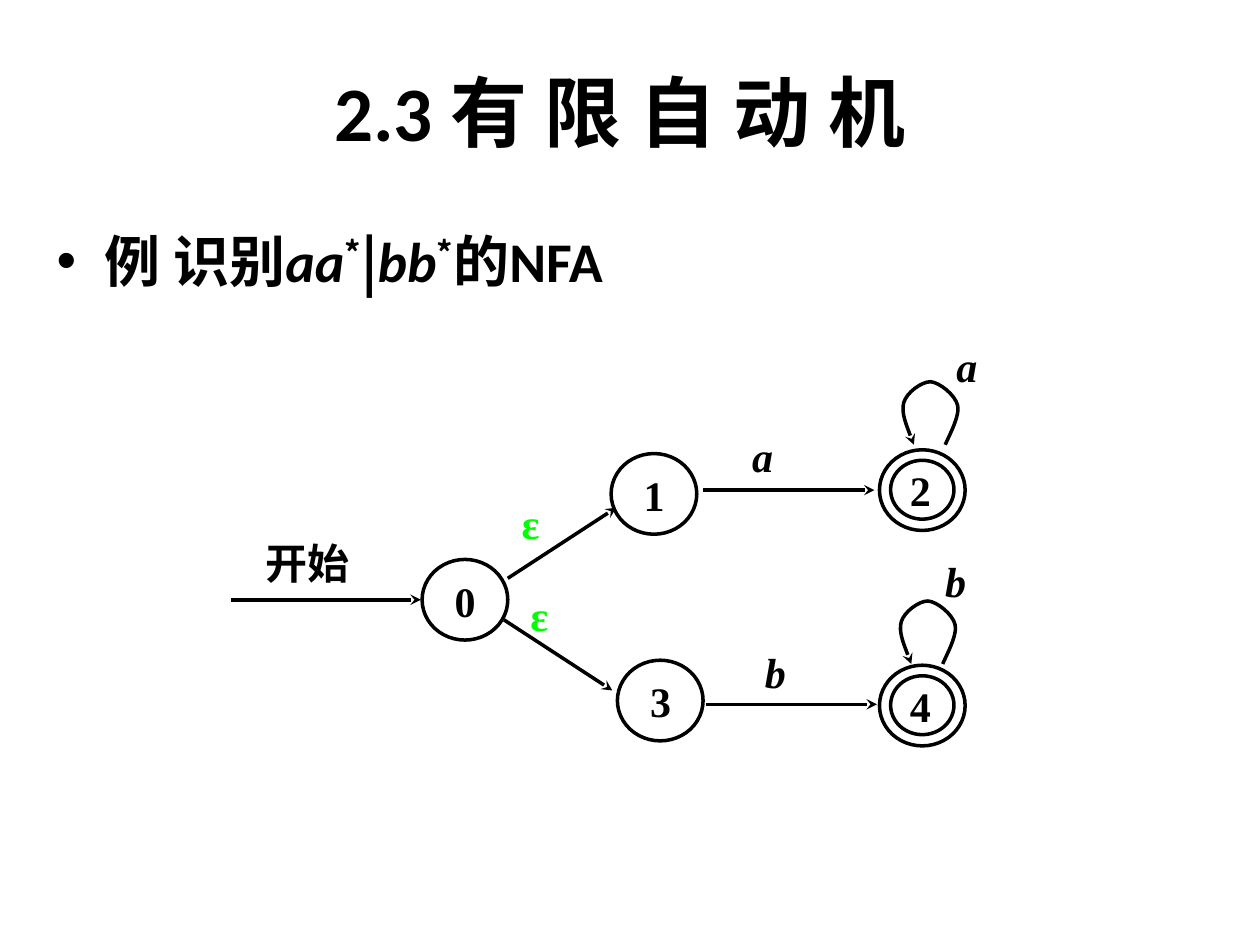
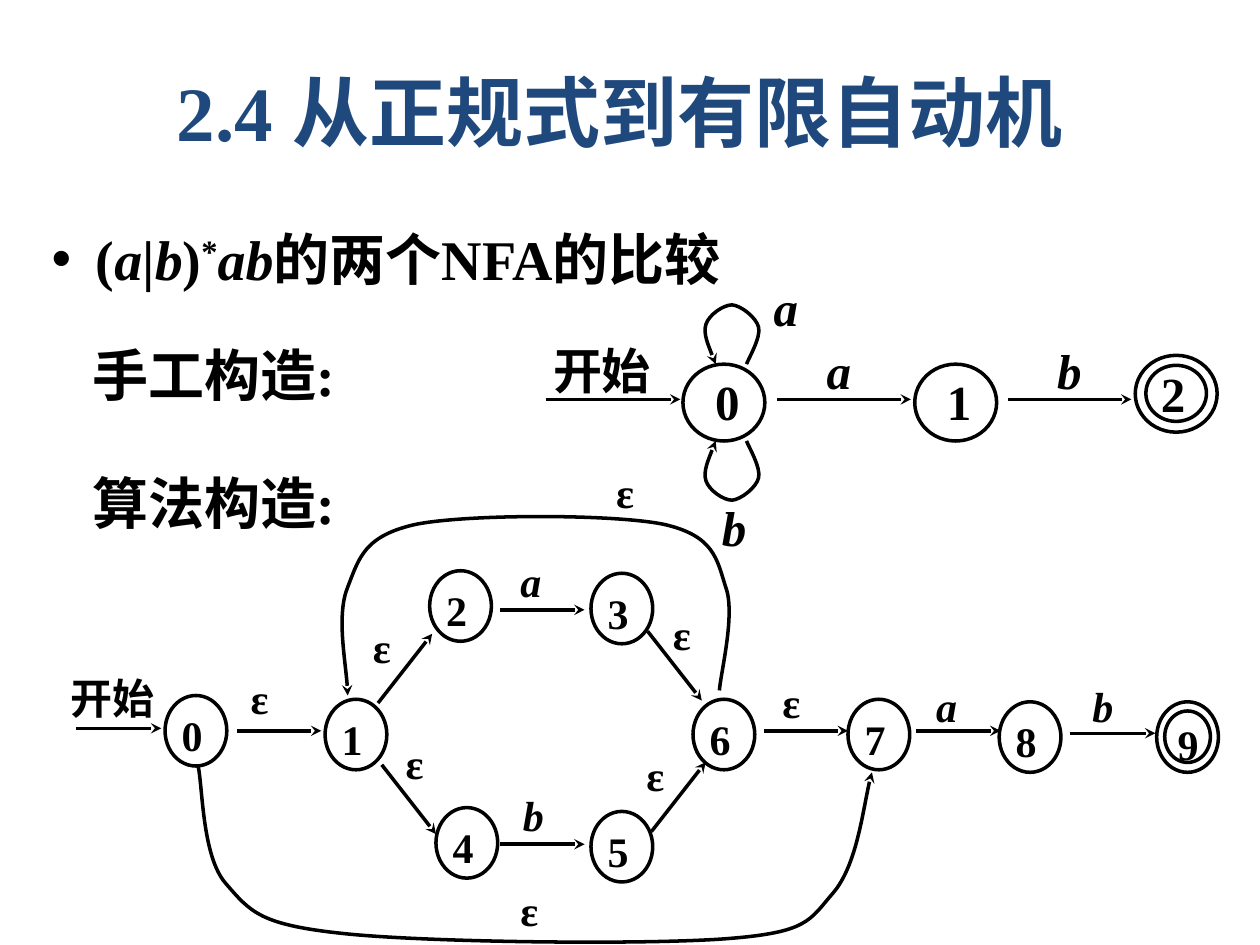
import pptx
import pptx.dml.color
import pptx.enum.shapes
import pptx.enum.text
import pptx.oxml.ns
import pptx.util
from lxml import etree

Inches, Pt = pptx.util.Inches, pptx.util.Pt
qn = pptx.oxml.ns.qn
ANCHOR = pptx.enum.text.MSO_ANCHOR
ALIGN = pptx.enum.text.PP_ALIGN
SHAPE = pptx.enum.shapes.MSO_SHAPE
BLACK, WHITE, NAVY, GREEN = "000000", "FFFFFF", "1F497D", "00FF00"
SERIF, SANS, CJK = "Times New Roman", "Calibri", "Noto Sans CJK SC"
TITLE_BOX, BODY_BOX = (0.67, 0.25, 8.5, 1.25), (0.35, 1.75, 9.37, 5.31)
LABEL_INSETS = (0.06, 0.03, 0.06, 0.03)
LOOP = [(0.75, 1), (0.79, 0.9), (1, 0.55), (0.96, 0.38), (0.92, 0.21),
        (0.65, 0.01), (0.5, 0), (0.35, 0), (0.1, 0.17), (0.05, 0.33),
        (0, 0.49), (0.17, 0.88), (0.22, 1)]


def rgb(value):
    """Turn a hex string into a colour."""
    return pptx.dml.color.RGBColor.from_string(value)


def write(p, text, size=24, font=SERIF, color=BLACK, bold=True, italic=False, raised=False):
    """Add one formatted run to a paragraph."""
    r = p.add_run()
    r.text = text
    r.font.size, r.font.name = Pt(size), font
    r.font.bold, r.font.italic = bold, italic
    r.font.color.rgb = rgb(color)
    rPr = r._r.get_or_add_rPr()
    if raised:
        rPr.set("baseline", "30000")
    etree.SubElement(rPr, qn("a:ea")).set("typeface", CJK)


def frame(sp, insets, anchor=ANCHOR.TOP, wrap=True):
    """Set up a text frame and return its first paragraph."""
    tf = sp.text_frame
    tf.margin_left, tf.margin_top, tf.margin_right, tf.margin_bottom = map(Inches, insets)
    tf.vertical_anchor, tf.word_wrap = anchor, wrap
    return tf.paragraphs[0]


def place(sp, box):
    """Move a placeholder to a box."""
    sp.left, sp.top, sp.width, sp.height = map(Inches, box)


def outline(sp, arrow=False):
    """Give a shape or connector the shared black line."""
    sp.line.color.rgb = rgb(BLACK)
    sp.line.width = Pt(2)
    if arrow:
        ln = sp.line._get_or_add_ln()
        etree.SubElement(ln, qn("a:tailEnd")).set("type", "stealth")


def ellipse(slide, x, y, w, h):
    """Draw an unfilled circle of a state."""
    sp = slide.shapes.add_shape(SHAPE.OVAL, *map(Inches, (x, y, w, h)))
    sp.shadow.inherit = False
    sp.fill.background()
    outline(sp)
    return sp


def state(slide, x, y, name, style, final):
    """Draw a numbered state, with a second ring if it is final."""
    w, h = style["state"]
    sp = ellipse(slide, x, y, w, h)
    insets, anchor = style["insets"], style["anchor"]
    if final:
        sp = ellipse(slide, x + 0.13 * w, y + 0.13 * h, 0.74 * w, 0.73 * h)
        insets, anchor = style["final_insets"], style["final_anchor"]
    p = frame(sp, insets, anchor)
    p.alignment = ALIGN.LEFT
    write(p, name, style["size"])


def arrow(slide, x1, y1, x2, y2):
    """Draw a straight transition."""
    line = slide.shapes.add_connector(
        pptx.enum.shapes.MSO_CONNECTOR.STRAIGHT, *map(Inches, (x1, y1, x2, y2)))
    outline(line, arrow=True)
    etree.SubElement(line._element.spPr, qn("a:effectLst"))


def curve(slide, points):
    """Draw a curved transition through a start and triples of Bezier points."""
    start, *rest = [(Inches(x), Inches(y)) for x, y in points]
    builder = slide.shapes.build_freeform(*start)
    builder.add_line_segments(rest, close=False)
    sp = builder.convert_to_shape()
    sp.shadow.inherit = False
    sp.fill.background()
    outline(sp, arrow=True)
    path = next(sp._element.iter(qn("a:path")))
    segments = path.findall(qn("a:lnTo"))
    for i in range(0, len(segments), 3):
        bezier = etree.SubElement(path, qn("a:cubicBezTo"))
        for segment in segments[i:i + 3]:
            bezier.append(segment[0])
            path.remove(segment)


def label(slide, x, y, text, size, color):
    """Write the symbol of a transition."""
    width = 1.1 if text == "开始" else 0.55
    sp = slide.shapes.add_textbox(*map(Inches, (x, y, width, 0.5)))
    write(frame(sp, LABEL_INSETS), text, size, color=color, italic=text in "ab")


def automaton(slide, left, top, style, states, finals, arrows, labels, loops=(), curves=()):
    """Draw a state graph relative to its left top corner."""
    for name, (x, y) in states.items():
        state(slide, left + x, top + y, name, style, name in finals)
    for x1, y1, x2, y2 in arrows:
        arrow(slide, left + x1, top + y1, left + x2, top + y2)
    for x, y, w, h in loops:
        curve(slide, [(left + x + w * u, top + y + h * v) for u, v in LOOP])
    for points in curves:
        curve(slide, [(left + x, top + y) for x, y in points])
    for text, spots in labels.items():
        color = style["epsilon"] if text == "ε" else BLACK
        for x, y in spots:
            label(slide, left + x, top + y, text, style["size"], color)


def union_nfa(slide, left, top):
    """Draw the automaton of aa*|bb*."""
    style = dict(state=(0.68, 0.64), size=24, epsilon=GREEN,
                 insets=(0.16, 0.03, 0.02, 0.05), anchor=ANCHOR.TOP,
                 final_insets=(0.08, 0, 0.01, 0), final_anchor=ANCHOR.MIDDLE)
    automaton(
        slide, left, top, style,
        states={"0": (1.55, 1.84), "1": (3.05, 1), "2": (5.18, 0.97),
                "3": (3.1, 2.64), "4": (5.18, 2.68)},
        finals="24",
        arrows=[(0.03, 2.16, 1.54, 2.16), (3.78, 1.29, 5.14, 1.29), (3.8, 2.99, 5.16, 2.99),
                (2.23, 1.99, 3.09, 1.43), (2.2, 2.32, 3.06, 2.88)],
        labels={"开始": [(0.25, 1.64)], "a": [(4.11, 0.79), (5.73, 0.07)],
                "b": [(5.64, 1.78), (4.21, 2.5)], "ε": [(2.28, 1.32), (2.35, 2.05)]},
        loops=[(5.35, 0.43, 0.47, 0.5), (5.33, 2.17, 0.47, 0.5)])


def manual_nfa(slide, left, top):
    """Draw the hand-made automaton of (a|b)*ab."""
    style = dict(state=(0.65, 0.61), size=28, epsilon=BLACK,
                 insets=(0.16, 0.03, 0.02, 0.05), anchor=ANCHOR.MIDDLE,
                 final_insets=(0.05, 0, 0.01, 0), final_anchor=ANCHOR.MIDDLE)
    automaton(
        slide, left, top, style,
        states={"0": (1.12, 0.79), "1": (2.96, 0.79), "2": (4.71, 0.72)},
        finals="2",
        arrows=[(x1, 1.07, x2, 1.07) for x1, x2 in ((0.03, 1.1), (1.87, 2.93), (3.7, 4.68))],
        labels={"开始": [(0.03, 0.57)], "a": [(2.2, 0.57), (1.78, 0.07)],
                "b": [(1.37, 1.82), (4.03, 0.57)]},
        loops=[(1.28, 0.32, 0.46, 0.47), (1.28, 1.87, 0.46, -0.47)])


def algorithm_nfa(slide, left, top):
    """Draw the automaton of (a|b)*ab made by the algorithm."""
    style = dict(state=(0.49, 0.56), size=24, epsilon=BLACK,
                 insets=(0.06, 0.03, 0.02, 0.05), anchor=ANCHOR.TOP,
                 final_insets=(0.05, 0, 0.01, 0), final_anchor=ANCHOR.TOP)
    skip = [(1.07, 2.47), (1.11, 2.63), (1.1, 3.19), (1.29, 3.41), (1.49, 3.64), (1.56, 3.74),
            (2.23, 3.81), (2.89, 3.88), (4.62, 3.9), (5.27, 3.85), (5.91, 3.8), (5.92, 3.71),
            (6.11, 3.49), (6.3, 3.27), (6.36, 2.73), (6.42, 2.53)]
    repeat = [(5.21, 1.88), (5.22, 1.74), (5.34, 1.27), (5.26, 1.06), (5.19, 0.84), (5.17, 0.65),
              (4.76, 0.56), (4.35, 0.48), (3.23, 0.48), (2.81, 0.56), (2.39, 0.65), (2.35, 0.83),
              (2.26, 1.06), (2.17, 1.28), (2.26, 1.74), (2.26, 1.92)]
    automaton(
        slide, left, top, style,
        states={"0": (0.81, 1.92), "1": (2.08, 1.95), "2": (2.91, 0.93), "3": (4.19, 0.95),
                "4": (2.96, 2.81), "5": (4.19, 2.84), "6": (5, 1.95), "7": (6.23, 1.95),
                "8": (7.43, 1.97), "9": (8.68, 1.97)},
        finals="9",
        arrows=[(0.1, 2.18, 0.78, 2.18), (1.38, 2.2, 2.05, 2.2), (5.56, 2.2, 6.23, 2.2),
                (6.77, 2.2, 7.44, 2.2), (7.99, 2.22, 8.67, 2.22), (3.47, 1.24, 4.14, 1.24),
                (3.47, 3.1, 4.14, 3.1), (2.5, 1.98, 2.93, 1.43), (4.64, 1.41, 5.07, 1.96),
                (4.67, 3, 5.1, 2.45), (2.53, 2.47, 2.96, 3.02)],
        labels={"开始": [(0, 1.71)],
                "a": [(3.57, 0.78), (6.87, 1.77)], "b": [(3.59, 2.64), (8.11, 1.77)],
                "ε": [(1.43, 1.71), (2.4, 1.3), (2.66, 2.22), (4.78, 1.2), (4.57, 2.32),
                      (3.57, 3.39), (5.65, 1.74), (4.33, 0.07)]},
        curves=[skip, repeat])


def heading(slide, x, y, text):
    """Write the name of a construction on a plain panel."""
    sp = slide.shapes.add_shape(SHAPE.RECTANGLE, *map(Inches, (x, y, 1.89, 0.79)))
    sp.shadow.inherit = False
    sp.fill.solid()
    sp.fill.fore_color.rgb = rgb(WHITE)
    sp.line.fill.background()
    p = frame(sp, LABEL_INSETS, ANCHOR.MIDDLE, wrap=False)
    p.alignment = ALIGN.CENTER
    write(p, text, 32)


def titled_slide(prs, title, font, color, runs, insets, indent):
    """Add a slide with a title and one bulleted line."""
    slide = prs.slides.add_slide(prs.slide_layouts[1])
    sp, body = slide.shapes.title, slide.placeholders[1]
    place(sp, TITLE_BOX)
    p = frame(sp, (0.1, 0.05, 0.1, 0.05), ANCHOR.MIDDLE)
    p.alignment = ALIGN.CENTER
    write(p, title, 44, font, color)
    place(body, BODY_BOX)
    p = frame(body, insets)
    p.space_before = Pt(0)
    pPr = p._p.get_or_add_pPr()
    pPr.set("marL", str(Inches(indent)))
    pPr.set("indent", str(-Inches(indent)))
    for text, options in runs:
        write(p, text, 32, **options)
    return slide


def main():
    """Build both slides and save them."""
    prs = pptx.Presentation()
    prs.slide_width, prs.slide_height = Inches(10), Inches(7.5)
    plain, symbol = dict(font=CJK), dict(font=SANS, italic=True)
    star = dict(font=CJK, raised=True)
    slide = titled_slide(
        prs, "2.3 有 限 自 动 机", SANS, BLACK,
        [("例 识别", plain), ("aa", symbol), ("*", star), ("|", plain), ("bb", symbol),
         ("*", star), ("的", plain), ("NFA", dict(font=SANS))],
        (0.1, 0.05, 0.1, 0.05), 0.38)
    union_nfa(slide, 1.8, 2.6)

    italic = dict(italic=True)
    slide = titled_slide(
        prs, "2.4 从正规式到有限自动机", SERIF, NAVY,
        [("(", {}), ("a", italic), ("|", {}), ("b", italic), (")", {}),
         ("*", dict(raised=True)), ("ab", italic), ("的两个NFA的比较", {})],
        LABEL_INSETS, 0.35)
    for y, text in ((2.57, "手工构造:"), (3.59, "算法构造:")):
        heading(slide, 0.75, y, text)
    manual_nfa(slide, 4.3, 2.1)
    algorithm_nfa(slide, 0.5, 3.6)
    prs.save("out.pptx")


if __name__ == "__main__":
    main()
